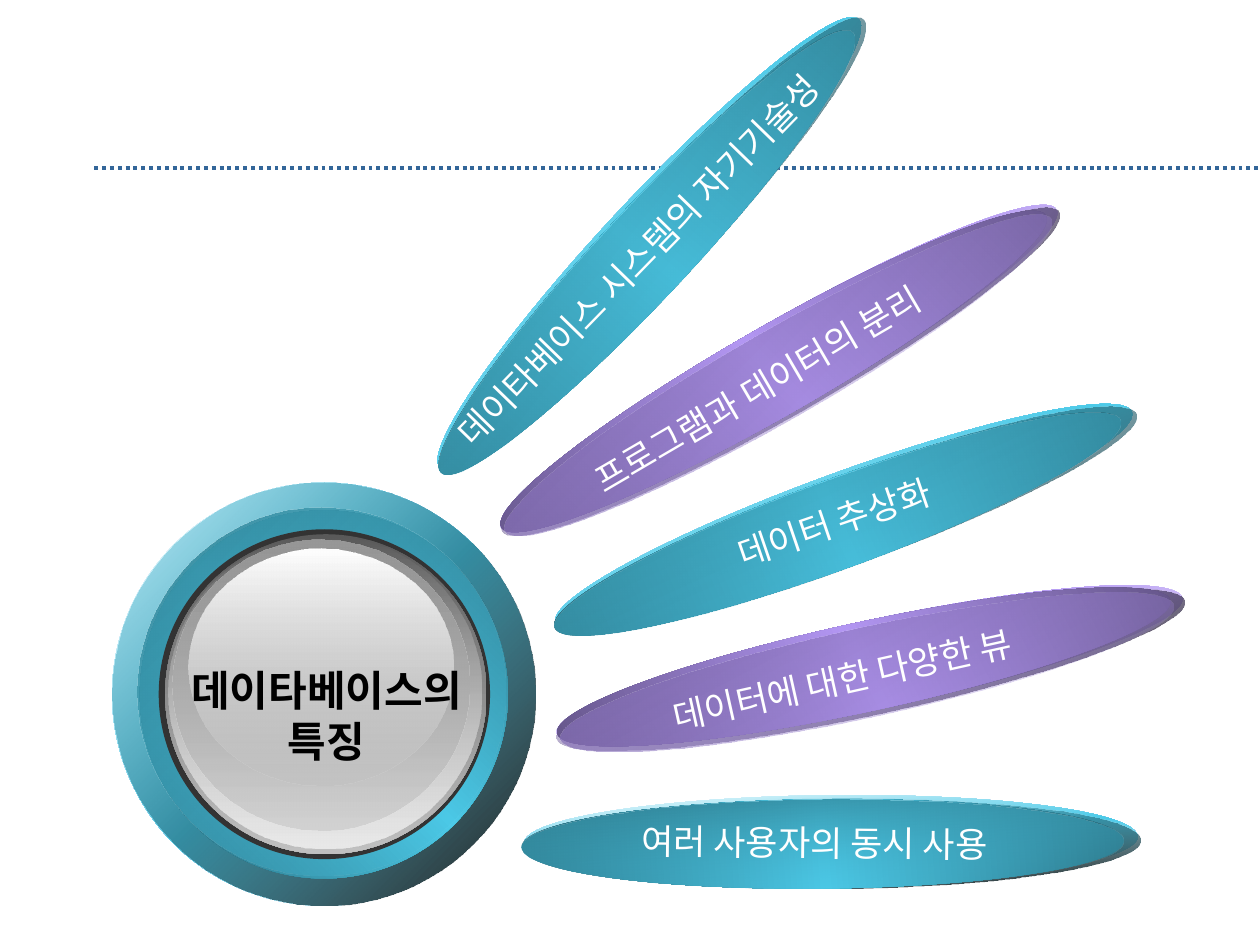
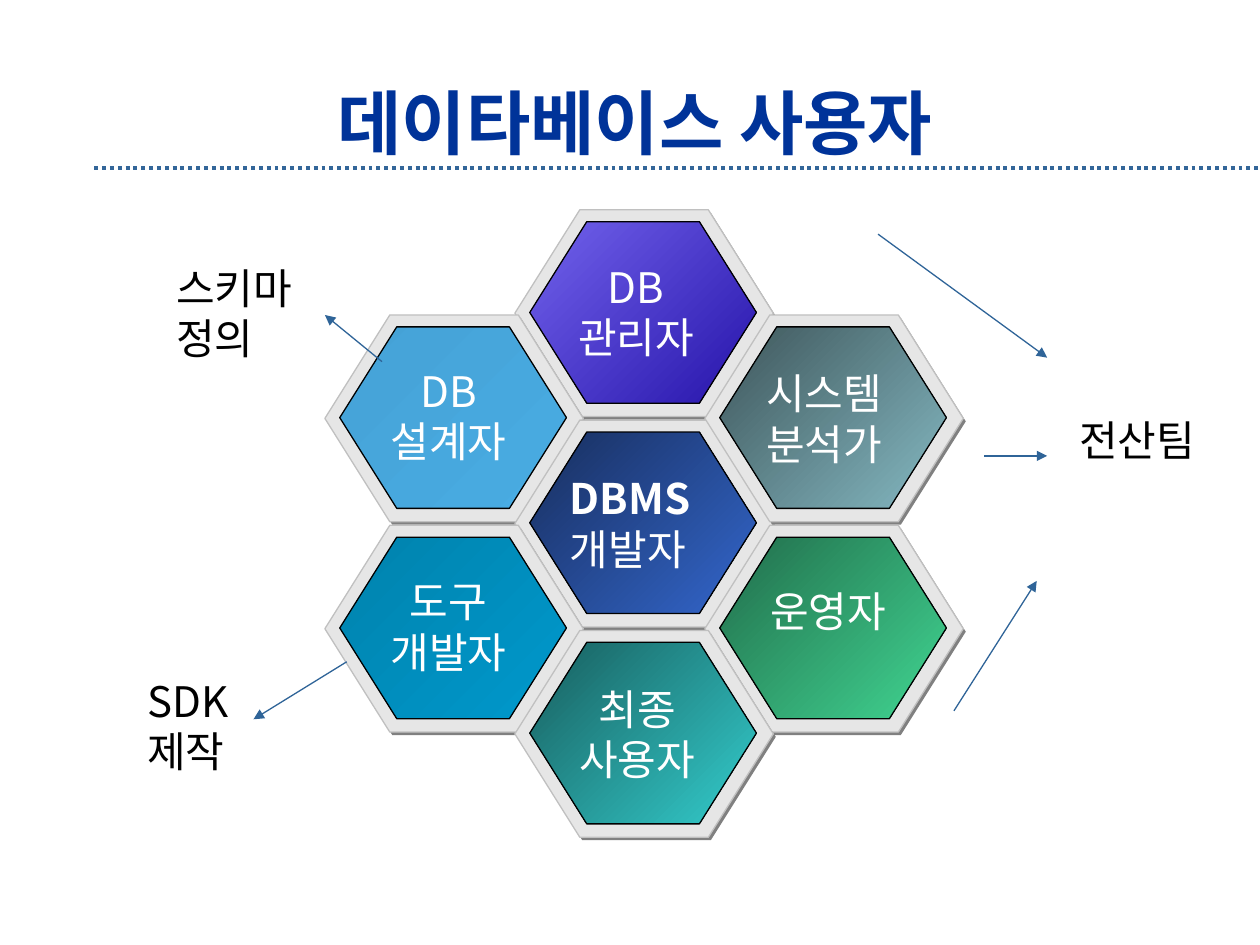
import math

import lxml.etree
import pptx
import pptx.dml.color
import pptx.enum.dml
import pptx.enum.shapes
import pptx.enum.text
import pptx.oxml.ns
import pptx.util

Cm = pptx.util.Cm
Pt = pptx.util.Pt
Align = pptx.enum.text.PP_ALIGN
Preset = pptx.enum.shapes.MSO_SHAPE
qn = pptx.oxml.ns.qn

COLORS = {
    "white": "FFFFFF", "black": "000000", "title": "003399",
    "rule": "336699", "arrow": "2F6498",
    "teal": "4CCAE8", "teal dark": "296D7E", "teal mid": "308093",
    "purple": "B296F2", "purple dark": "605183", "purple mid": "715F9A",
    "rim": "333333", "steel": "595959", "silver": "C0C0C0",
    "pale": "E9E9E9", "grey": "989898",
    "hex shadow": "808080", "hex frame": "E6E6E6",
    "violet start": "7262EC", "violet end": "2614AA",
    "sky start": "45A2D6", "sky end": "49ACE3",
    "navy start": "182F5E", "navy end": "3366CC",
    "slate start": "3E565A", "slate end": "85B9C3",
    "green start": "216D4B", "green end": "41D592",
    "blue start": "0082AD", "blue end": "0099CC",
    "sea start": "185E5E", "sea end": "33CCCC",
}


class SlideBuilder:
    font = "Noto Sans CJK KR"

    def __init__(self, deck):
        self.deck = deck
        self.page = None

    def color(self, name):
        return pptx.dml.color.RGBColor.from_string(COLORS[name])

    def new_page(self, title=None):
        self.page = self.deck.slides.add_slide(self.deck.slide_layouts[6])
        rule = self.line(1.9, 3.38, 25.4, 3.38, "rule", 2.25)
        rule.line.dash_style = pptx.enum.dml.MSO_LINE.ROUND_DOT
        if title:
            box = self.text(1.9, 1.7, 21.8, 1.48, [title], 40, "title", bold=True,
                            align=Align.CENTER, grow=False)
            box.text_frame.vertical_anchor = pptx.enum.text.MSO_ANCHOR.MIDDLE

    def line(self, x1, y1, x2, y2, color, width):
        connector = self.page.shapes.add_connector(
            pptx.enum.shapes.MSO_CONNECTOR.STRAIGHT, Cm(x1), Cm(y1), Cm(x2), Cm(y2))
        connector.line.color.rgb = self.color(color)
        connector.line.width = Pt(width)
        lxml.etree.SubElement(connector._element.spPr, qn("a:effectLst"))
        return connector

    def arrow(self, x1, y1, x2, y2):
        connector = self.line(x1, y1, x2, y2, "arrow", 0.75)
        lxml.etree.SubElement(connector.line._get_or_add_ln(), qn("a:tailEnd"), type="triangle")

    def gradient(self, shape, stops, angle):
        shape.fill.gradient()
        element = shape._element.spPr.find(qn("a:gradFill"))
        for child in list(element):
            element.remove(child)
        element.set("rotWithShape", "1")
        stop_list = lxml.etree.SubElement(element, qn("a:gsLst"))
        for index, (name, opacity) in enumerate(stops):
            position = round(100000 * index / (len(stops) - 1))
            stop = lxml.etree.SubElement(stop_list, qn("a:gs"), pos=str(position))
            color = lxml.etree.SubElement(stop, qn("a:srgbClr"), val=COLORS[name])
            if opacity < 100:
                lxml.etree.SubElement(color, qn("a:alpha"), val=str(opacity * 1000))
        lxml.etree.SubElement(element, qn("a:lin"), ang=str(angle * 60000), scaled="1")

    def shape(self, preset, left, top, width, height, fill, angle=0, outline=None, rotation=0):
        shape = self.page.shapes.add_shape(preset, Cm(left), Cm(top), Cm(width), Cm(height))
        shape.shadow.inherit = False
        shape.rotation = rotation
        if isinstance(fill, str):
            shape.fill.solid()
            shape.fill.fore_color.rgb = self.color(fill)
        else:
            self.gradient(shape, fill, angle)
        if outline:
            shape.line.color.rgb = self.color(outline)
            shape.line.width = Pt(0.75)
        else:
            shape.line.fill.background()
        return shape

    def text(self, left, top, width, height, lines, size, color, bold=False,
             align=Align.LEFT, wrap=True, rotation=0, grow=True):
        box = self.page.shapes.add_textbox(Cm(left), Cm(top), Cm(width), Cm(height))
        box.rotation = rotation
        frame = box.text_frame
        frame.word_wrap = wrap
        sizes = pptx.enum.text.MSO_AUTO_SIZE
        frame.auto_size = sizes.SHAPE_TO_FIT_TEXT if grow else sizes.NONE
        frame.text = "\n".join(lines)
        for para in frame.paragraphs:
            para.alignment = align
            for span in para.runs:
                span.font.name = self.font
                span.font.size = Pt(size)
                span.font.bold = bold
                span.font.color.rgb = self.color(color)
                lxml.etree.SubElement(span._r.get_or_add_rPr(), qn("a:ea"), typeface=self.font)
        return box

    def petal(self, hue, center, rotation):
        x, y = center
        turn = math.radians(rotation)
        layers = zip(petal_fills(hue), PETALS[hue]["layers"], (0, 0, -90, 0))
        for fill, (width, dx, dy), tilt in layers:
            middle_x = x + dx * math.cos(turn) - dy * math.sin(turn)
            middle_y = y + dx * math.sin(turn) + dy * math.cos(turn)
            self.shape(Preset.OVAL, middle_x - width / 2, middle_y - 0.9, width, 1.8, fill,
                       (PETALS[hue]["angle"] + tilt) % 360, rotation=rotation)

    def petal_label(self, text, center, width, rotation):
        x, y = center
        self.text(x - width / 2, y - 0.56, width, 1.12, [text], 20, "white",
                  wrap=False, rotation=rotation)

    def hexagon(self, left, top, width, height, fill, outline=None):
        shape = self.shape(Preset.HEXAGON, left, top, width, height, fill, 45, outline)
        shape.adjustments[0] = 0.314

    def cell(self, column, half_row, hue, lines, offset, align):
        left, top = 6.55 + 3.83 * column, 4.23 + 2.12 * half_row
        face = [(f"{hue} start", 100), (f"{hue} end", 100)]
        self.hexagon(left + 0.05, top + 0.06, 5.21, 4.17, "hex shadow")
        self.hexagon(left, top, 5.21, 4.17, "hex frame", "silver")
        self.hexagon(left + 0.3, top + 0.24, 4.57, 3.66, face, "black")
        width = 3.02 if hue == "navy" else 2.95
        box = self.text(left + offset[0], top + offset[1], width, 0.25 + 1.02 * len(lines),
                        lines, 24, "white", align=align, wrap=False)
        box.text_frame.paragraphs[0].runs[0].font.bold = hue == "navy"


def petal_fills(hue):
    dark, middle = f"{hue} dark", f"{hue} mid"
    return [
        [("white", 100), (hue, 100), ("white", 100)],
        [(hue, 32), ("black", 90)],
        [(dark, 100), (hue, 100), (dark, 100)],
        [(middle, 100), (hue, 0)],
    ]


PETALS = {
    "teal": {"angle": 86, "layers": [
        (12.37, 0, 0), (12.42, 0.03, 0.08), (12.14, -0.17, 0.08), (12.14, -0.17, 0.08)]},
    "purple": {"angle": 75, "layers": [
        (12.9, 0, 0), (12.93, 0, 0.08), (12.65, -0.12, 0), (12.65, -0.08, 0.11)]},
}

FEATURES = [
    ("teal", (13.09, 4.91), 313, "데이타베이스 시스템의 자기기술성", (13.07, 5.03), 11.15, 314.2),
    ("purple", (15.7, 7.43), 330.2, "프로그램과 데이터의 분리", (15.48, 7.72), 8.46, 329.7),
    ("teal", (17.01, 10.43), 339.9, "데이터 추상화", (16.94, 10.49), 4.83, 341.1),
    ("purple", (17.53, 13.42), 347.8, "데이터에 대한 다양한 뷰", (17.23, 13.64), 8, 347.3),
    ("teal", (16.75, 16.93), 359.4, "여러 사용자의 동시 사용", (16.68, 16.99), 8, 0.6),
]

RING_PLACES = [(2.26, 9.73, 8.53), (2.26, 9.73, 8.53), (2.82, 10.29, 7.42), (2.77, 10.24, 7.42)]
RING_ANGLES = [45, 45, 315, 45]

BUTTON_LAYERS = [
    (3.2, 10.67, 6.68, 6.65, "rim"),
    (3.33, 10.77, 6.48, 6.45, [("steel", 100), ("silver", 100)]),
    (3.4, 10.8, 6.3, 6.3, [("silver", 0), ("pale", 100)]),
    (3.48, 10.87, 5.99, 5.87, [("grey", 100), ("silver", 48)]),
    (3.81, 11.05, 5.33, 4.78, [("white", 100), ("silver", 38)]),
]

USERS = [
    (1, 0, "violet", ["DB", "관리자"], (0.97, 0.91), Align.CENTER),
    (0, 1, "sky", ["DB", "설계자"], (1.02, 0.89), Align.CENTER),
    (1, 2, "navy", ["DBMS", "개발자"], (0.86, 0.94), Align.LEFT),
    (2, 1, "slate", ["시스템", "분석가"], (0.99, 0.94), Align.LEFT),
    (2, 3, "green", ["운영자"], (1.07, 1.09), Align.LEFT),
    (0, 3, "blue", ["도구", "개발자"], (1.02, 0.89), Align.CENTER),
    (1, 4, "sea", ["최종", "사용자"], (0.99, 0.94), Align.CENTER),
]

ROLE_NOTES = [
    (3.3, 5.16, 3.35, 2.29, "스키마 정의"),
    (2.72, 13.49, 3, 2.29, "SDK 제작"),
    (21.51, 8.23, 3.4, 1.27, "전산팀"),
]

ROLE_ARROWS = [
    (7.7, 7.29, 6.55, 6.35),
    (6.99, 13.34, 5.11, 14.5),
    (19.23, 14.33, 20.9, 11.71),
    (19.84, 9.19, 21.11, 9.19),
    (17.7, 4.72, 21.11, 7.21),
]


def build_features(builder):
    builder.new_page()
    for hue, center, rotation, label, label_center, width, label_rotation in FEATURES:
        builder.petal(hue, center, rotation)
        builder.petal_label(label, label_center, width, label_rotation)
    for (left, top, size), fill, angle in zip(RING_PLACES, petal_fills("teal"), RING_ANGLES):
        builder.shape(Preset.OVAL, left, top, size, size, fill, angle)
    for left, top, width, height, fill in BUTTON_LAYERS:
        builder.shape(Preset.OVAL, left, top, width, height, fill, 90)
    builder.text(2.39, 13.28, 8.38, 2.29, ["데이타베이스의", "특징"], 24, "black",
                 bold=True, align=Align.CENTER)


def build_users(builder):
    builder.new_page("데이타베이스 사용자")
    for user in USERS:
        builder.cell(*user)
    for left, top, width, height, note in ROLE_NOTES:
        builder.text(left, top, width, height, [note], 24, "black")
    for ends in ROLE_ARROWS:
        builder.arrow(*ends)


def main():
    deck = pptx.Presentation()
    deck.slide_width, deck.slide_height = Cm(25.4), Cm(19.05)
    builder = SlideBuilder(deck)
    build_features(builder)
    build_users(builder)
    deck.save("out.pptx")


if __name__ == "__main__":
    main()
